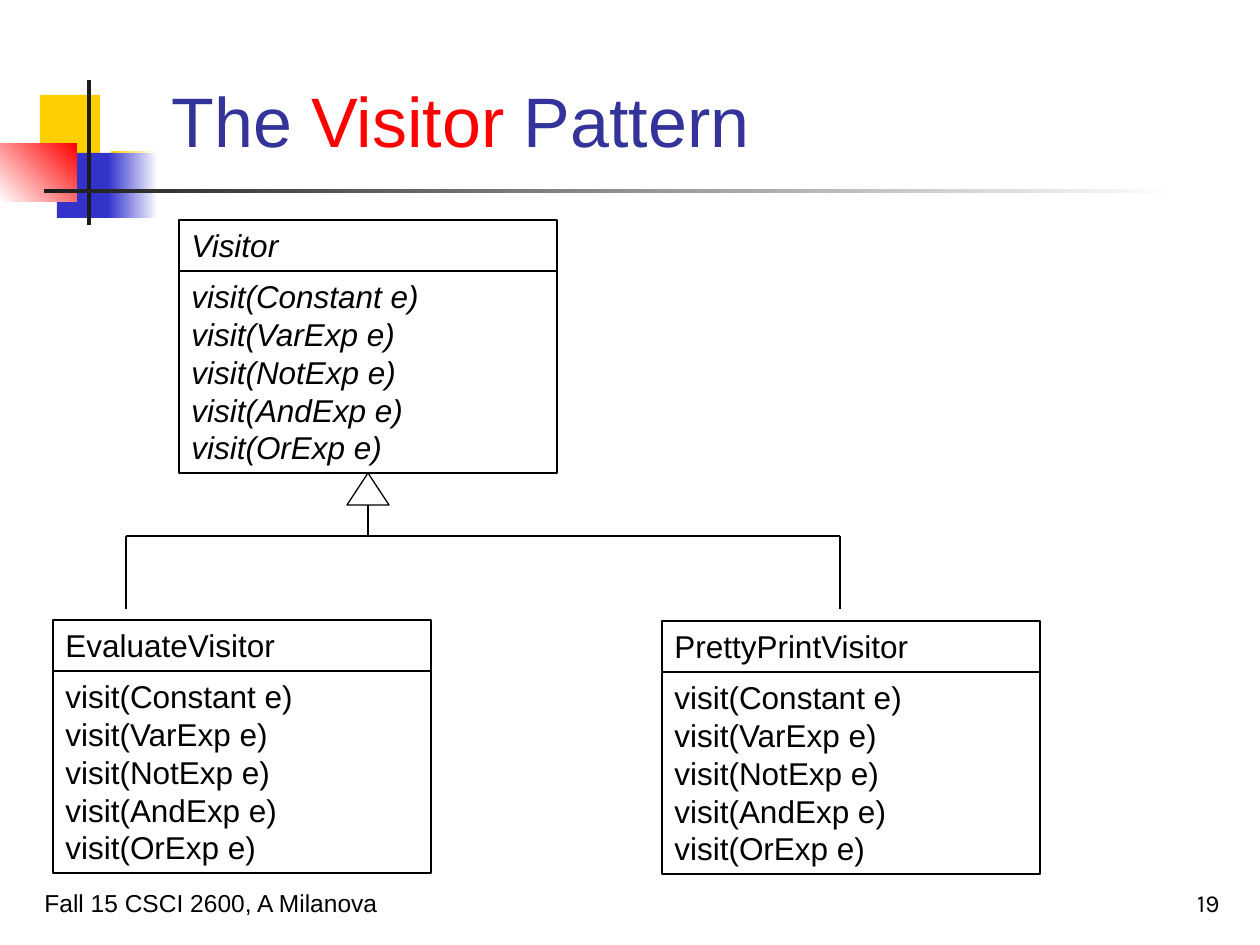
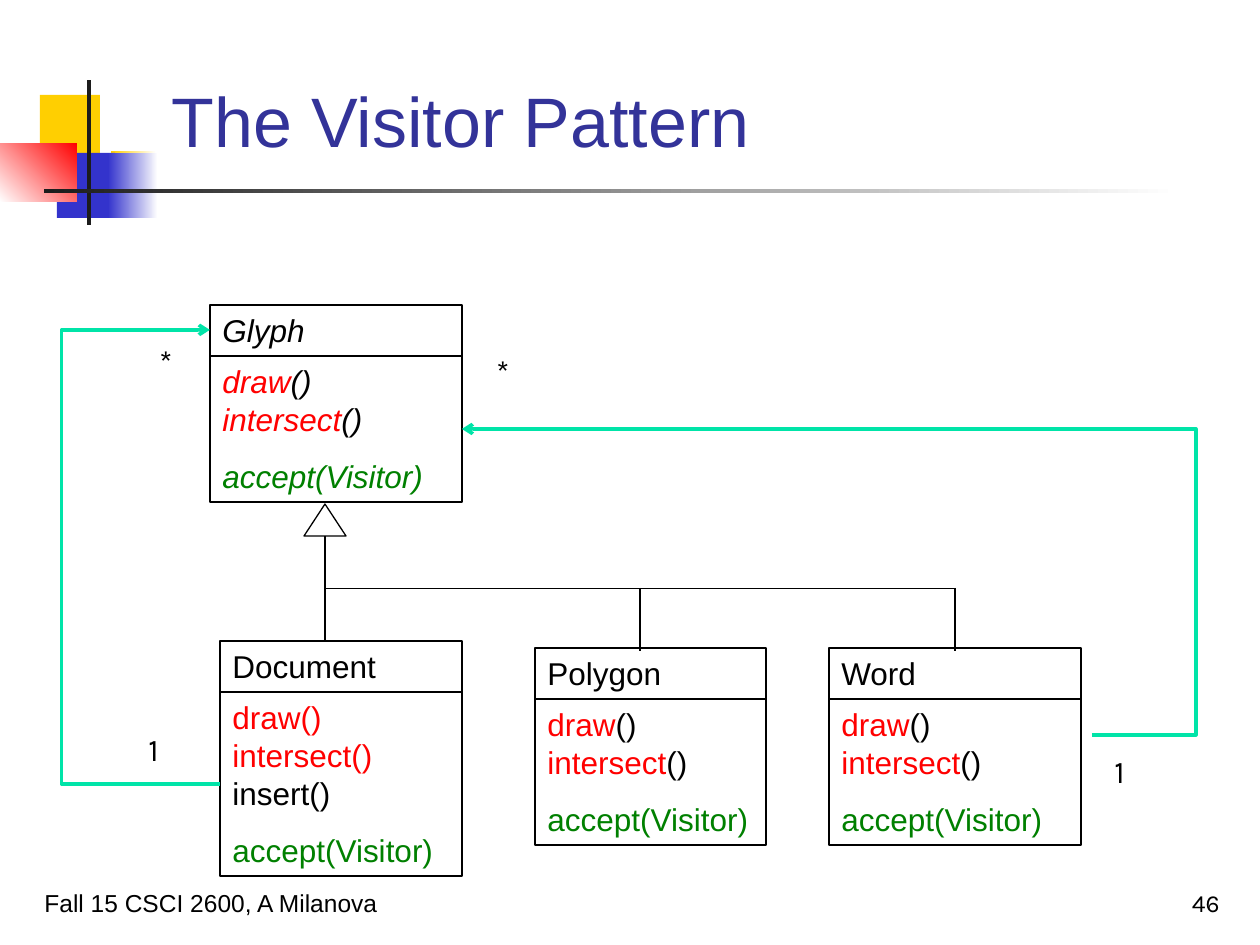
import lxml.etree
import pptx
import pptx.dml.color
import pptx.enum.shapes
import pptx.enum.text
import pptx.oxml.ns
import pptx.util

RGB = pptx.dml.color.RGBColor
SHAPE = pptx.enum.shapes.MSO_SHAPE
CONNECTOR = pptx.enum.shapes.MSO_CONNECTOR
ANCHOR = pptx.enum.text.MSO_ANCHOR
ALIGN = pptx.enum.text.PP_ALIGN
AUTO_SIZE = pptx.enum.text.MSO_AUTO_SIZE
Pt = pptx.util.Pt
qn = pptx.oxml.ns.qn

BLACK = RGB(0x00, 0x00, 0x00)
WHITE = RGB(0xFF, 0xFF, 0xFF)
CHARCOAL = RGB(0x1C, 0x1C, 0x1C)
YELLOW = RGB(0xFF, 0xCF, 0x01)
BLUE = RGB(0x33, 0x33, 0xCC)
NAVY = RGB(0x33, 0x33, 0x99)
RED = RGB(0xFF, 0x00, 0x00)
GREEN = RGB(0x00, 0x80, 0x00)
MINT = RGB(0x00, 0xE4, 0xA8)

FONT, DIGIT_FONT = "Arial", "Karla"
FOOTER = "Fall 15 CSCI 2600, A Milanova"
PX_PER_INCH = 126
HEAD_H = 51
ARROW_W, ARROW_H = 42, 32

VISITS = "\n".join(f"visit({kind} e)" for kind in
                   ("Constant", "VarExp", "NotExp", "AndExp", "OrExp"))
ACCEPT = [("accept(Visitor)", GREEN)]
GLYPH_METHODS = [[("draw", RED), ("()\n", BLACK), ("intersect", RED), ("()", BLACK)], ACCEPT]
DOCUMENT_METHODS = [[("draw()\nintersect()\n", RED), ("insert()", BLACK)], ACCEPT]


def px(*lengths):
    return [pptx.util.Emu(round(n * 914400 / PX_PER_INCH)) for n in lengths]


def write(tf, paragraphs, size, font=FONT, italic=False, align=ALIGN.LEFT):
    """Fill a text frame with paragraphs, each a list of (text, colour) runs."""
    for i, runs in enumerate(paragraphs):
        p = tf.paragraphs[0] if i == 0 else tf.add_paragraph()
        p.alignment = align
        if i:
            p.space_before = Pt(11.2)
        for text, color in runs:
            for j, line in enumerate(text.split("\n")):
                if j:
                    p.add_line_break()
                if not line:
                    continue
                r = p.add_run()
                r.text = line
                r.font.name, r.font.size = font, Pt(size)
                r.font.italic = italic
                r.font.color.rgb = color


def add_box(s, kind, x, y, w, h, fill=None, line=None):
    sp = s.shapes.add_shape(kind, *px(x, y, w, h))
    sp.shadow.inherit = False
    if fill is None:
        sp.fill.background()
    else:
        sp.fill.solid()
        sp.fill.fore_color.rgb = fill
    if line is None:
        sp.line.fill.background()
    else:
        sp.line.color.rgb = line
        sp.line.width = Pt(0.75)
    return sp


def add_text(s, x, y, w, h, text, size, font=FONT, align=ALIGN.LEFT,
             anchor=ANCHOR.TOP, wrap=True):
    tf = s.shapes.add_textbox(*px(x, y, w, h)).text_frame
    tf.word_wrap = wrap
    tf.vertical_anchor = anchor
    write(tf, [[(text, BLACK)]], size, font, align=align)


def add_line(s, x1, y1, x2, y2, color=BLACK, width=0.75, kind=CONNECTOR.STRAIGHT):
    cxn = s.shapes.add_connector(kind, *px(x1, y1, x2, y2))
    cxn.line.color.rgb = color
    cxn.line.width = Pt(width)
    lxml.etree.SubElement(cxn.element.spPr, qn("a:effectLst"))
    return cxn


def add_association(s, x1, y1, x2, y2, via_x):
    """Elbow arrow that runs out to via_x and back."""
    cxn = add_line(s, x1, y1, x2, y2, MINT, 2, CONNECTOR.ELBOW)
    spPr = cxn.element.spPr
    bend = round(100000 * (x1 - via_x) / (x1 - x2))
    guides = spPr.find(qn("a:prstGeom")).find(qn("a:avLst"))
    lxml.etree.SubElement(guides, qn("a:gd"), name="adj1", fmla=f"val {bend}")
    lxml.etree.SubElement(spPr.find(qn("a:ln")), qn("a:tailEnd"), type="arrow")


def add_inheritance_arrow(s, tip_x, tip_y):
    add_box(s, SHAPE.ISOSCELES_TRIANGLE, tip_x - ARROW_W // 2, tip_y,
            ARROW_W, ARROW_H, WHITE, BLACK)


def add_class(s, x, y, w, body_h, name, methods, italic=False):
    """UML class: name compartment above methods; returns the methods box."""
    for top, h, paragraphs in ((y, HEAD_H, [[(name, BLACK)]]),
                               (y + HEAD_H, body_h, methods)):
        sp = add_box(s, SHAPE.RECTANGLE, x, top, w, h, line=BLACK)
        tf = sp.text_frame
        tf.word_wrap = True
        tf.auto_size = AUTO_SIZE.SHAPE_TO_FIT_TEXT
        tf.vertical_anchor = ANCHOR.TOP
        write(tf, paragraphs, 18, italic=italic)
    return sp


def decorate(layout, s):
    """Draw the corner blocks and rules on s, then move them into its layout."""
    blocks = [
        (40, 95, 60, 65, YELLOW, None, 0),
        (111, 151, 45, 65, WHITE, YELLOW, 180),
        (57, 153, 58, 65, BLUE, None, 0),
        (108, 153, 50, 65, WHITE, BLUE, 180),
        (0, 143, 77, 59, RED, WHITE, 225),
        (87, 80, 4, 145, CHARCOAL, None, 0),
        (44, 189, 1134, 4, WHITE, CHARCOAL, 180),
    ]
    shapes = []
    for x, y, w, h, start, end, angle in blocks:
        sp = add_box(s, SHAPE.RECTANGLE, x, y, w, h, start)
        if end is not None:
            sp.fill.gradient()
            sp.fill.gradient_angle = angle
            for stop, color, position in zip(sp.fill.gradient_stops, (start, end), (0, 1)):
                stop.color.rgb = color
                stop.position = position
        shapes.append(sp)
    for i, sp in enumerate(shapes):
        sp.element.nvSpPr.cNvPr.set("id", str(20 + i))
        layout.shapes.element.insert(2 + i, sp.element)


def add_slide(prs, layout, title, number):
    s = prs.slides.add_slide(layout)
    sp = s.shapes.title
    sp.left, sp.top, sp.width, sp.height = px(159, 29, 1074, 139)
    tf = sp.text_frame
    tf.auto_size = AUTO_SIZE.NONE
    tf.vertical_anchor = ANCHOR.BOTTOM
    write(tf, [title], 40)
    add_text(s, 32, 861, 651, 63, FOOTER, 14, anchor=ANCHOR.BOTTOM)
    add_text(s, 970, 861, 262, 63, number, 14, DIGIT_FONT, ALIGN.RIGHT, ANCHOR.BOTTOM)
    return s


def draw_visitor_hierarchy(s):
    x, y, w, body_h = 179, 220, 378, 202
    methods = [[(VISITS, BLACK)]]
    visitor = add_class(s, x, y, w, body_h, "Visitor", methods, italic=True)
    add_class(s, 53, 620, w, body_h, "EvaluateVisitor", methods)
    add_class(s, 662, 621, w, body_h, "PrettyPrintVisitor", methods)

    center, bottom, bar_y = x + w // 2, y + HEAD_H + body_h, 536
    left, right = 126, 840
    add_line(s, left, bar_y, right, bar_y)
    trunk = add_line(s, center, bottom, center, bar_y)
    trunk.begin_connect(visitor, 2)
    add_inheritance_arrow(s, center, bottom)
    for drop_x in (left, right):
        add_line(s, drop_x, bar_y, drop_x, 609)


def draw_glyph_hierarchy(s):
    short_h, tall_h = 146, 184
    glyph_x, glyph_y, glyph_w = 210, 305, 252
    doc_x, doc_y = 220, 641
    add_class(s, glyph_x, glyph_y, glyph_w, short_h, "Glyph", GLYPH_METHODS, italic=True)
    add_class(s, doc_x, doc_y, 242, tall_h, "Document", DOCUMENT_METHODS)
    add_class(s, 535, 648, 231, short_h, "Polygon", GLYPH_METHODS)
    add_class(s, 829, 648, 252, short_h, "Word", GLYPH_METHODS)

    trunk_x, tip_y, bar_y, pitch = 325, 504, 588, 315
    add_line(s, trunk_x, tip_y + ARROW_H, trunk_x, doc_y)
    add_inheritance_arrow(s, trunk_x, tip_y)
    add_line(s, trunk_x, bar_y, trunk_x + 2 * pitch, bar_y, width=0.5)
    for i in (1, 2):
        add_line(s, trunk_x + i * pitch, bar_y, trunk_x + i * pitch, 651)

    add_association(s, doc_x, doc_y + HEAD_H + tall_h // 2,
                    glyph_x, glyph_y + HEAD_H // 2, via_x=62)
    add_association(s, 1092, 735, glyph_x + glyph_w,
                    glyph_y + HEAD_H + short_h // 2, via_x=1196)
    for x, y, count in ((136, 724, "1"), (147, 336, "*"), (1102, 746, "1"), (484, 346, "*")):
        add_text(s, x, y, 43, 50, count, 18, DIGIT_FONT, wrap=False)


def main():
    prs = pptx.Presentation()
    prs.slide_width, prs.slide_height = px(1260, 945)
    layout = prs.slide_layouts[5]

    s = add_slide(prs, layout, [("The ", NAVY), ("Visitor", RED), (" Pattern", NAVY)], "19")
    decorate(layout, s)
    draw_visitor_hierarchy(s)

    s = add_slide(prs, layout, [("The Visitor Pattern", NAVY)], "46")
    draw_glyph_hierarchy(s)
    prs.save("out.pptx")


if __name__ == "__main__":
    main()
